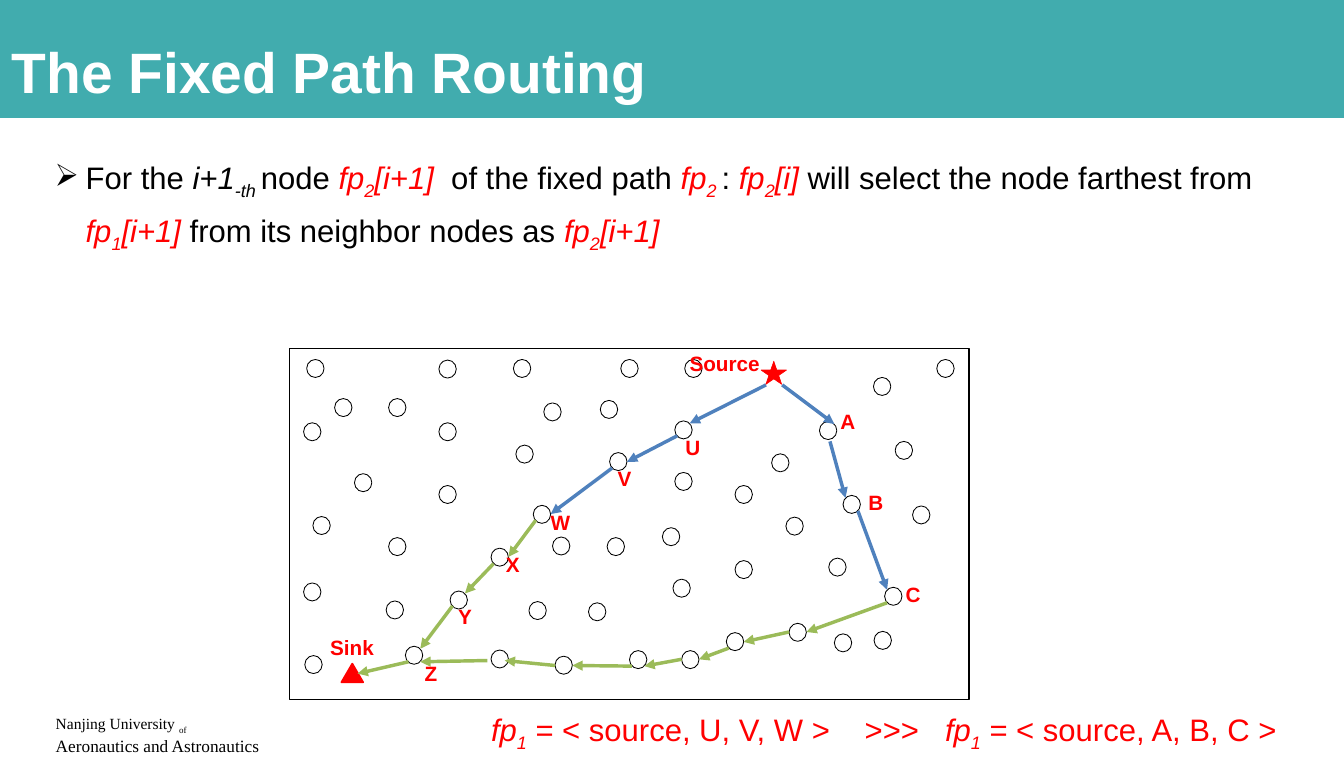
from pptx import Presentation
from pptx.dml.color import RGBColor
from pptx.enum.shapes import MSO_CONNECTOR as Connector, MSO_SHAPE as Shape
from pptx.oxml.ns import qn
from pptx.util import Emu, Pt
from lxml.etree import SubElement

PX = 9144
SIZE = (2165, 1221)
COLORS = {"teal": "41ACAE", "white": "FFFFFF", "black": "000000",
          "red": "FF0000", "blue": "4F81BD", "green": "9BBB59"}

STYLES = {
    "title": {"name": "Arial", "size": 66, "bold": True, "color": "white"},
    "label": {"name": "Arial", "size": 24, "bold": True, "color": "red"},
    "school": {"name": "Times New Roman", "size": 18, "color": "black"},
    "faculty": {"name": "Times New Roman", "size": 20, "color": "black"},
    "text": {"name": "Arial", "size": 36, "color": "black"},
    "formula": {"name": "Arial", "size": 36, "color": "red"},
}
STYLES["index"] = STYLES["text"] | {"italic": True}
STYLES["path"] = STYLES["formula"] | {"italic": True}
SUBSCRIPT = {"baseline": -25000}

TITLE = [[("The Fixed Path Routing", "title")]]
SCHOOL = [
    [("Nanjing University ", "school"), ("of", "school", SUBSCRIPT)],
    [("Aeronautics and Astronautics", "faculty")],
]


def fixed_path(number, node=""):
    spans = [("fp", "path"), (number, "path", SUBSCRIPT)]
    return spans + [(node, "path")] if node else spans


def wide_space(style, extra):
    return (" ", style, {"spc": extra * 100})


RULE = [[
    ("For the ", "text"), ("i+1", "index"), ("-th ", "index", SUBSCRIPT), ("node ", "text"),
    *fixed_path("2", "[i+1]"), wide_space("text", 10), ("of the fixed path ", "text"),
    *fixed_path("2 "), (": ", "text"), *fixed_path("2", "[i]"),
    (" will select the node farthest from ", "text"), *fixed_path("1", "[i+1]"),
    (" from its neighbor nodes as ", "text"), *fixed_path("2", "[i+1]"),
]]
RESULT = [[
    *fixed_path("1"), (" = < source, U, V, W >", "formula"), wide_space("formula", 30),
    (">>>", "formula"), wide_space("formula", 20),
    *fixed_path("1"), (" = < source, A, B, C >", "formula"),
]]

BAND = (0, -2, 2165, 191)
FIELD = (466, 561, 1095, 566)
SINK = (550, 1069, 35, 30)
STAR = (1226, 582, 41, 37)
NODE = (28, 29)
NODES = [
    (539, 642), (571, 763), (831, 717), (494, 579), (489, 681), (707, 681), (707, 580),
    (626, 642), (504, 832), (489, 939), (626, 866), (827, 579), (707, 782), (491, 1056),
    (876, 649), (1407, 608), (1103, 579), (1000, 579), (622, 968), (967, 645), (1509, 579),
    (653, 1041), (725, 952), (859, 814), (1087, 678), (982, 729), (791, 883), (978, 866),
    (890, 865), (1087, 761), (1320, 679), (791, 1047), (852, 969), (894, 1057), (1243, 731),
    (1067, 850), (1184, 782), (1358, 798), (948, 971), (1266, 833), (1425, 946), (1084, 933),
    (1184, 903), (1014, 1048), (1098, 1048), (1408, 1017), (1271, 1004), (1344, 1021),
    (1170, 1019), (1335, 899), (1470, 815), (1442, 711),
]
ARROWS = {
    "blue": [
        (1234, 620, 1111, 682), (1091, 702, 1010, 744), (986, 754, 887, 828),
        (1260, 620, 1344, 683), (1337, 711, 1362, 802), (1382, 823, 1429, 950),
    ],
    "green": [
        (863, 838, 819, 897), (795, 908, 749, 956), (729, 976, 677, 1045),
        (658, 1066, 576, 1085), (1429, 971, 1299, 1018), (1271, 1018, 1198, 1034),
        (1174, 1044, 1126, 1062), (1098, 1062, 1038, 1073), (1018, 1073, 922, 1072),
        (894, 1072, 813, 1064), (785, 1064, 677, 1066),
    ],
}
LABEL = (179, 54)
LABELS = {
    "Source": (1101, 561), "Sink": (522, 1018), "U": (1094, 696), "V": (985, 745),
    "W": (877, 816), "X": (805, 884), "Y": (728, 967), "Z": (674, 1059),
    "A": (1344, 653), "B": (1389, 784), "C": (1449, 932),
}


def px(*lengths):
    return [Emu(length * PX) for length in lengths]


def rgb(name):
    return RGBColor.from_string(COLORS[name])


def add_outline(page, kind, place, fill, line, width):
    shape = page.shapes.add_shape(kind, *px(*place))
    shape.shadow.inherit = False
    if fill:
        shape.fill.solid()
        shape.fill.fore_color.rgb = rgb(fill)
    else:
        shape.fill.background()
    shape.line.color.rgb = rgb(line)
    shape.line.width = Pt(width)


def add_arrow(page, ends, color):
    arrow = page.shapes.add_connector(Connector.STRAIGHT, *px(*ends))
    arrow.line.color.rgb = rgb(color)
    arrow.line.width = Pt(4)
    SubElement(arrow.line._get_or_add_ln(), qn("a:tailEnd"), type="triangle")
    SubElement(arrow._element.spPr, qn("a:effectLst"))


def add_span(para, text, style, extra=None):
    span = para.add_run()
    span.text = text
    for key, value in STYLES[style].items():
        if key == "color":
            span.font.color.rgb = rgb(value)
        else:
            setattr(span.font, key, Pt(value) if key == "size" else value)
    for key, value in (extra or {}).items():
        span._r.get_or_add_rPr().set(key, str(value))


def add_text(page, place, paragraphs, insets=(10, 5), wrap=True, spacing=None, bullet=None):
    box = page.shapes.add_textbox(*px(*place))
    frame = box.text_frame
    frame.word_wrap = wrap
    side, top = px(*insets)
    margins = {"margin_left": side, "margin_right": side, "margin_top": top, "margin_bottom": top}
    for key, value in margins.items():
        setattr(frame, key, value)
    for number, spans in enumerate(paragraphs):
        para = frame.add_paragraph() if number else frame.paragraphs[0]
        if bullet:
            settings = para._p.get_or_add_pPr()
            for key, length in (("marL", 51), ("indent", -50)):
                settings.set(key, str(length * PX))
            SubElement(settings, qn("a:buChar"), char=bullet)
        if spacing:
            para.line_spacing = spacing
        for span in spans:
            add_span(para, *span)


def main():
    deck = Presentation()
    deck.slide_width, deck.slide_height = px(*SIZE)
    page = deck.slides.add_slide(deck.slide_layouts[6])

    add_text(page, (80, 1145, 444, 74), SCHOOL)
    add_outline(page, Shape.RECTANGLE, BAND, "teal", "teal", 2)
    add_text(page, (19, 59, 2140, 105), TITLE, insets=(0, 0))

    add_outline(page, Shape.RECTANGLE, FIELD, None, "black", 1.5)
    for corner in NODES:
        add_outline(page, Shape.OVAL, corner + NODE, "white", "black", 1)
    add_outline(page, Shape.ISOSCELES_TRIANGLE, SINK, "red", "red", 2)
    for color, routes in ARROWS.items():
        for ends in routes:
            add_arrow(page, ends, color)
    add_outline(page, Shape.STAR_5_POINT, STAR, "red", "red", 0.75)
    for name, corner in LABELS.items():
        add_text(page, corner + LABEL, [[(name, "label")]])

    add_text(page, (87, 237, 1966, 145), RULE, insets=(0, 1), spacing=1.25, bullet="➢")
    add_text(page, (791, 1126, 1317, 70), RESULT, insets=(0, 1), spacing=1.25)
    deck.save("out.pptx")


if __name__ == "__main__":
    main()
